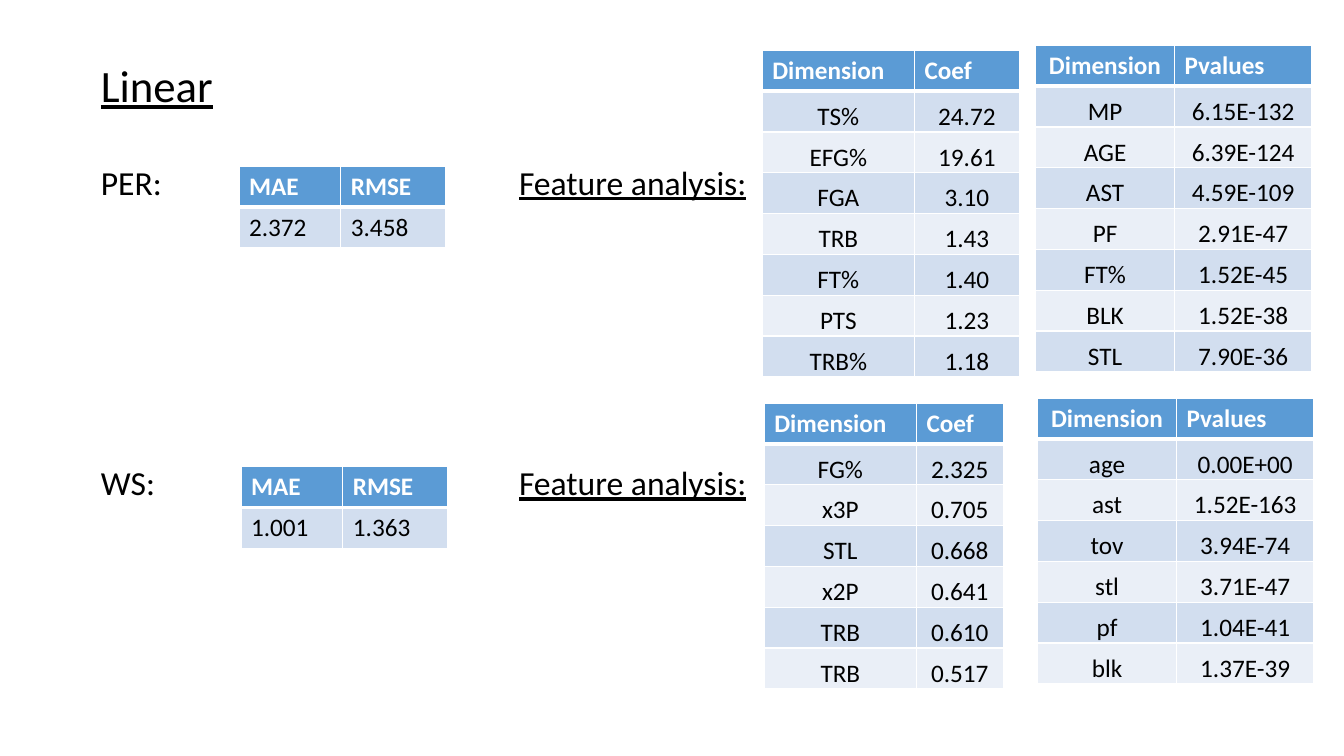
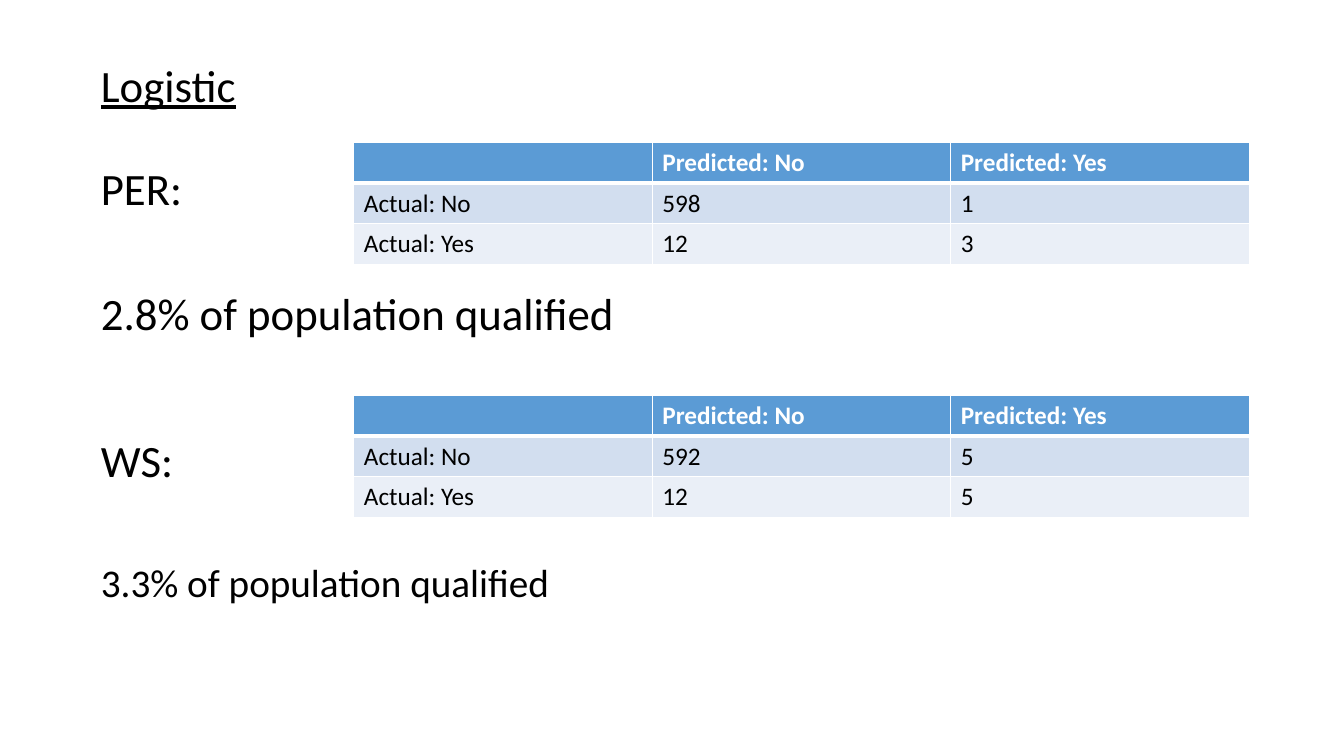
from pptx import Presentation
from pptx.dml.color import RGBColor
from pptx.enum.text import MSO_ANCHOR, MSO_AUTO_SIZE, PP_ALIGN
from pptx.oxml.ns import qn
from pptx.util import Inches, Pt
from lxml.etree import SubElement

BLACK, WHITE = "000000", "FFFFFF"
BLUE, PALE, LIGHT = "5B9BD5", "D2DEEF", "EAEFF7"


def write(shape, box, lines, under=False, gap=10):
    shape.left, shape.top, shape.width, shape.height = map(Inches, box)
    frame = shape.text_frame
    frame.word_wrap = True
    frame.auto_size = MSO_AUTO_SIZE.NONE
    frame.vertical_anchor = MSO_ANCHOR.TOP
    frame.text = "\n".join(text for text, size in lines)
    for i, (para, (text, size)) in enumerate(zip(frame.paragraphs, lines)):
        para.alignment = PP_ALIGN.LEFT
        para.line_spacing = 0.9
        para.space_before = Pt(gap if i else 10)
        para.font.name = "Calibri"
        para.font.size = Pt(size)
        para.font.underline = under
        para.font.color.rgb = RGBColor.from_string(BLACK)
        props = para._p.get_or_add_pPr()
        props.set("marL", "0")
        props.set("indent", "0")
        bullet = props.makeelement(qn("a:buNone"), {})
        props.insert_element_before(bullet, "a:tabLst", "a:defRPr", "a:extLst")


def grid(slide, left, top, widths, rows, tight=False, mid=False):
    frame = slide.shapes.add_table(
        len(rows), len(widths), Inches(left), Inches(top),
        Inches(sum(widths)), Inches(0.81 * len(rows) / 2))
    table = frame.table
    for col, width in zip(table.columns, widths):
        col.width = Inches(width)
    for r, row in enumerate(rows):
        for c, text in enumerate(row):
            cell = table.cell(r, c)
            head = r == 0
            cell.text = text
            para = cell.text_frame.paragraphs[0]
            para.font.name = "Calibri"
            para.font.size = Pt(18)
            para.font.bold = head
            para.font.color.rgb = RGBColor.from_string(WHITE if head else BLACK)
            if tight and not head:
                cell.vertical_anchor = MSO_ANCHOR.BOTTOM
                cell.margin_left = cell.margin_right = cell.margin_top = Inches(0.01)
                cell.margin_bottom = 0
            if tight and not head or mid and head and c == 0:
                para.alignment = PP_ALIGN.CENTER
            props = cell._tc.get_or_add_tcPr()
            for side in "LRTB":
                thick = head and side == "B" or r == 1 and side == "T"
                line = SubElement(props, qn("a:ln" + side), w=str(Pt(3 if thick else 1)))
                fill = SubElement(line, qn("a:solidFill"))
                SubElement(fill, qn("a:srgbClr"), val=WHITE)
            cell.fill.solid()
            tone = BLUE if head else PALE if r % 2 else LIGHT
            cell.fill.fore_color.rgb = RGBColor.from_string(tone)


deck = Presentation()
deck.slide_width, deck.slide_height = Inches(13.33), Inches(7.5)

pages = [
    ("Linear", 10,
     (1.6, 2.02, [("PER:", 24)]),
     (4.58, 2.82, [("WS:", 24)])),
    ("Logistic", 55,
     (1.6, 2.02, [("PER:", 32), ("2.8% of population qualified", 32)]),
     (4.3, 2.14, [("WS:", 32), ("3.3% of population qualified", 28)])),
]
slides = []
for name, gap, *parts in pages:
    slide = deck.slides.add_slide(deck.slide_layouts[3])
    title, *bodies = slide.placeholders
    write(title, (0.9, 0.58, 11.5, 0.64), [(name, 32)], under=True)
    for body, (top, height, lines) in zip(bodies, parts):
        write(body, (0.9, top, 11.5, height), lines, gap=gap)
    slides.append(slide)
linear, logit = slides

for left, top, mae, rmse in [(2.37, 1.65, "2.372", "3.458"), (2.39, 4.63, "1.001", "1.363")]:
    grid(linear, left, top, [1.01, 1.04], [("MAE", "RMSE"), (mae, rmse)])

for top in (1.6, 4.58):
    label = linear.shapes.add_textbox(0, 0, 0, 0)
    write(label, (5.05, top, 3.6, 2.18), [("Feature analysis:", 24)], under=True)

coefs = [
    (7.56, 0.5, 1.04, [
        ("TS%", "24.72"), ("EFG%", "19.61"), ("FGA", "3.10"), ("TRB", "1.43"),
        ("FT%", "1.40"), ("PTS", "1.23"), ("TRB%", "1.18")]),
    (7.58, 4, 0.86, [
        ("FG%", "2.325"), ("x3P", "0.705"), ("STL", "0.668"),
        ("x2P", "0.641"), ("TRB", "0.610"), ("TRB", "0.517")]),
]
for left, top, width, rows in coefs:
    grid(linear, left, top, [1.51, width], [("Dimension", "Coef")] + rows, tight=True)

probs = [
    (10.27, 0.45, [
        ("MP", "6.15E-132"), ("AGE", "6.39E-124"), ("AST", "4.59E-109"),
        ("PF", "2.91E-47"), ("FT%", "1.52E-45"), ("BLK", "1.52E-38"),
        ("STL", "7.90E-36")]),
    (10.29, 3.95, [
        ("age", "0.00E+00"), ("ast", "1.52E-163"), ("tov", "3.94E-74"),
        ("stl", "3.71E-47"), ("pf", "1.04E-41"), ("blk", "1.37E-39")]),
]
for left, top, rows in probs:
    grid(linear, left, top, [1.38, 1.36], [("Dimension", "Pvalues")] + rows, tight=True, mid=True)

for top, no, yes in [(1.41, ("598", "1"), ("12", "3")), (3.92, ("592", "5"), ("12", "5"))]:
    grid(logit, 3.51, top, [2.96] * 3, [
        ("", "Predicted: No", "Predicted: Yes"),
        ("Actual: No", *no),
        ("Actual: Yes", *yes)])

deck.save("out.pptx")
